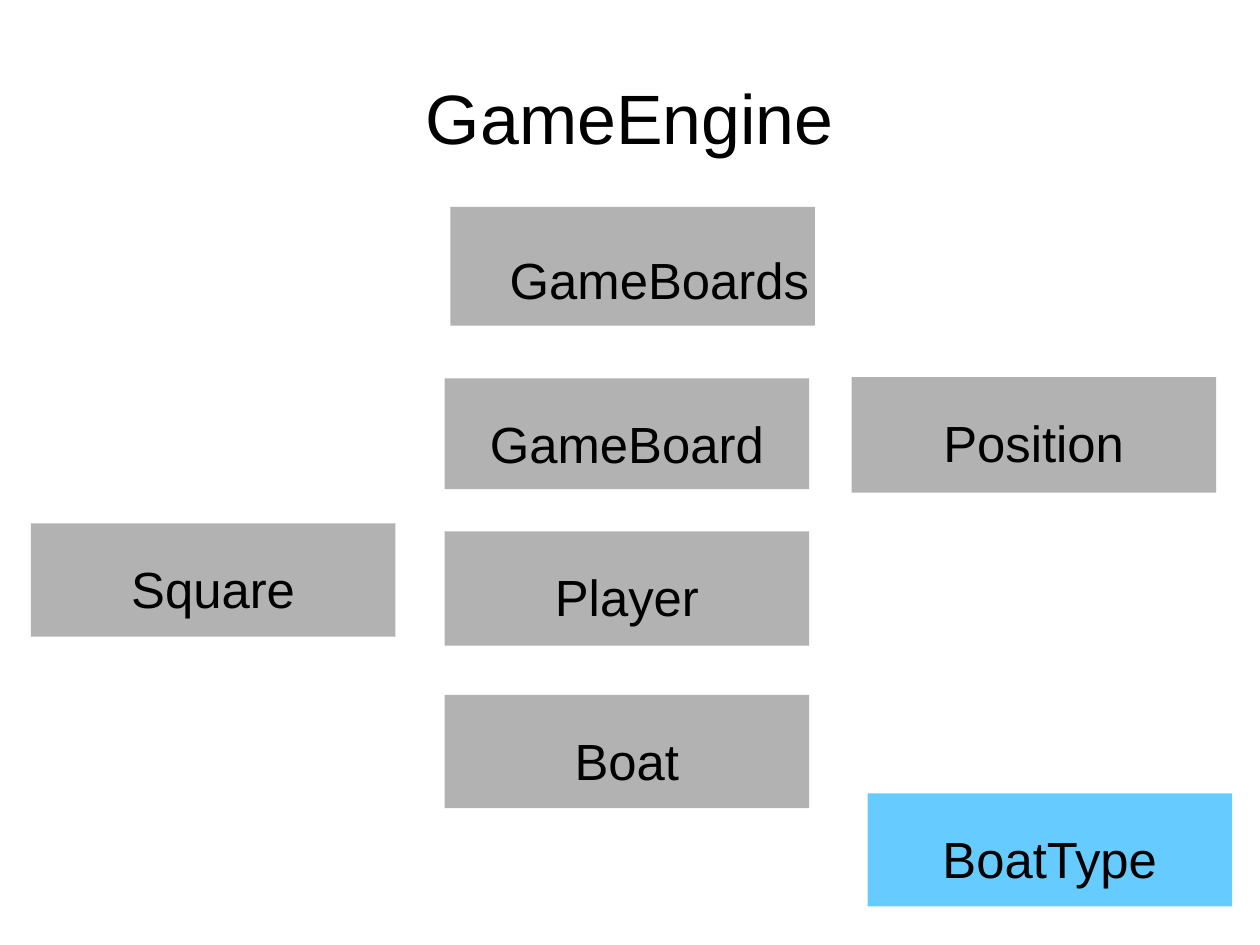
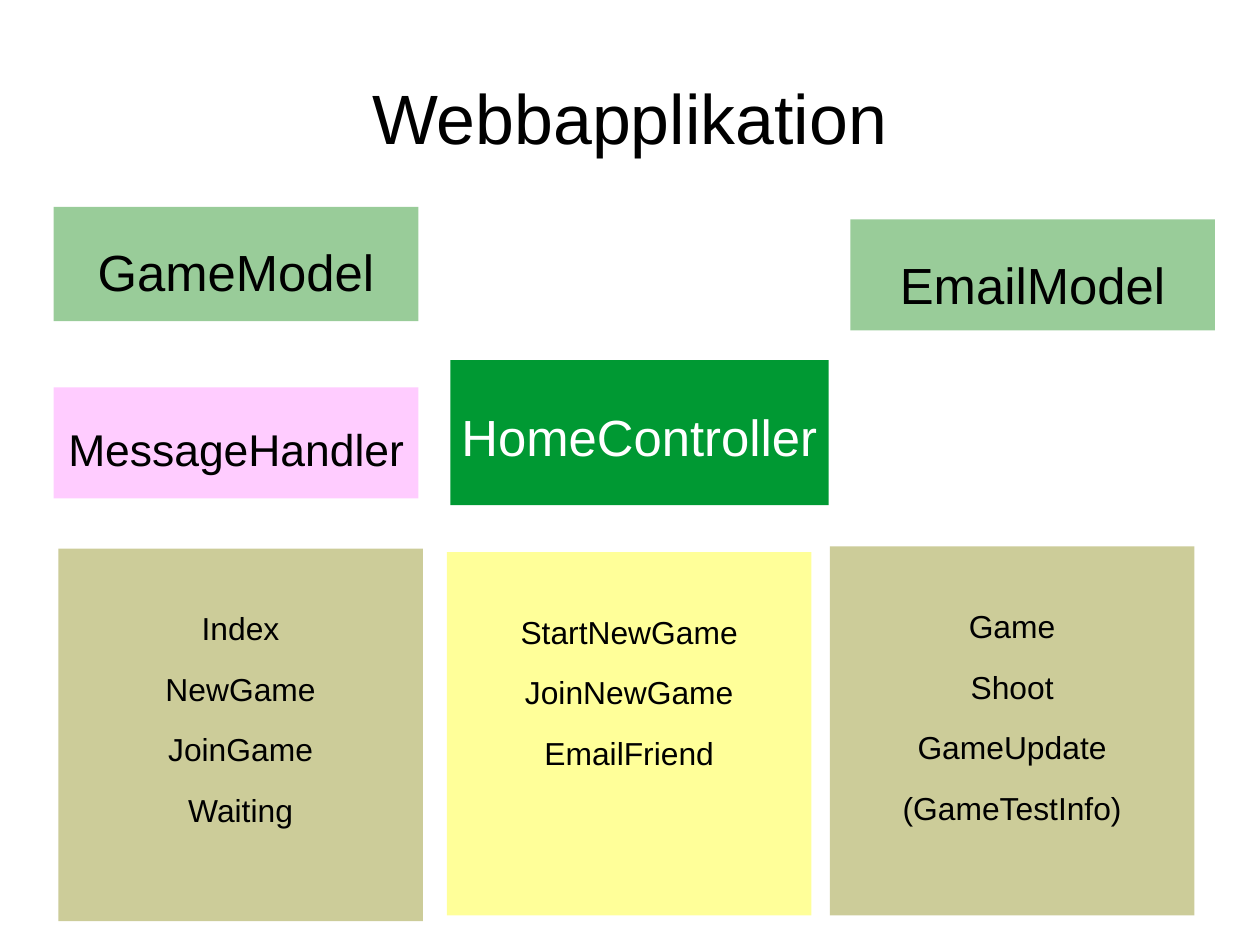
from pptx import Presentation
from pptx import util as u
from pptx.dml.color import RGBColor
from pptx.enum import shapes, text

# Shared look
FONT = "Arial"
BLACK = RGBColor(0x00, 0x00, 0x00)
WHITE = RGBColor(0xFF, 0xFF, 0xFF)
GRAY = RGBColor(0xB2, 0xB2, 0xB2)
SKY = RGBColor(0x66, 0xCC, 0xFF)
MINT = RGBColor(0x99, 0xCC, 0x99)
GREEN = RGBColor(0x00, 0x99, 0x33)
PINK = RGBColor(0xFF, 0xCC, 0xFF)
KHAKI = RGBColor(0xCC, 0xCC, 0x99)
YELLOW = RGBColor(0xFF, 0xFF, 0x99)

BOX_WIDTH = 3.19
PARAGRAPH_GAP = 14.1

deck = Presentation()
deck.slide_width, deck.slide_height = u.Cm(28), u.Cm(21)


def write(frame, lines, size=32, color=BLACK, top=0.0, left=0.0, gap=0.0,
          anchor=text.MSO_ANCHOR.TOP):
    """Fill a text frame with centred lines in one format."""
    frame.word_wrap = True
    frame.auto_size = text.MSO_AUTO_SIZE.NONE
    frame.vertical_anchor = anchor
    frame.margin_left, frame.margin_top = u.Inches(left), u.Inches(top)
    frame.margin_right = frame.margin_bottom = 0
    frame.text = "\n".join(lines)
    for paragraph in frame.paragraphs:
        paragraph.alignment = text.PP_ALIGN.CENTER
        paragraph.space_before, paragraph.space_after = u.Pt(0), u.Pt(gap)
        paragraph.font.name = FONT
        paragraph.font.size = u.Pt(size)
        paragraph.font.color.rgb = color


def add_class_slide(heading, boxes):
    """Add a titled slide; a box is left, top, height, fill, lines, options."""
    slide = deck.slides.add_slide(deck.slide_layouts[5])
    title = slide.shapes.title
    title.left, title.top = int(deck.slide_width * 0.05), int(deck.slide_height * 0.04)
    title.width, title.height = int(deck.slide_width * 0.9), deck.slide_height // 6
    write(title.text_frame, [heading], size=44, anchor=text.MSO_ANCHOR.MIDDLE)

    for left, top, height, fill, lines, options in boxes:
        layout = {"width": BOX_WIDTH, "top": 0.3, **options}
        width = layout.pop("width")
        box = slide.shapes.add_shape(
            shapes.MSO_SHAPE.RECTANGLE, u.Inches(left), u.Inches(top),
            u.Inches(width), u.Inches(height))
        box.shadow.inherit = False
        box.fill.solid()
        box.fill.fore_color.rgb = fill
        box.line.fill.background()
        write(box.text_frame, lines, gap=PARAGRAPH_GAP, **layout)


# Slide 1: classes of the game engine
west, centre, east = 0.27, 3.89, 7.45
add_class_slide("GameEngine", [
    (centre + 0.05, 1.81, 1.04, GRAY, ["GameBoards"], {"top": 0.37, "left": 0.47}),
    (centre, 3.31, 0.97, GRAY, ["GameBoard"], {}),
    (centre, 4.65, 1.0, GRAY, ["Player"], {}),
    (west, 4.58, 0.99, GRAY, ["Square"], {}),
    (east, 3.3, 1.01, GRAY, ["Position"], {}),
    (centre, 6.08, 0.99, GRAY, ["Boat"], {}),
    (east + 0.14, 6.94, 0.99, SKY, ["BoatType"], {}),
])

# Slide 2: models, controller and views of the web application
west, centre, east = 0.47, 3.94, 7.44
view = {"size": 20, "top": 0.53}
add_class_slide("Webbapplikation", [
    (east, 1.92, 0.97, MINT, ["EmailModel"], {}),
    (centre, 3.15, 1.27, GREEN, ["HomeController"],
     {"width": 3.31, "top": 0.4, "color": WHITE}),
    (west, 1.81, 1.0, MINT, ["GameModel"], {}),
    (7.26, 4.78, 3.23, KHAKI,
     ["Game", "Shoot", "GameUpdate", "(GameTestInfo)"], view),
    (3.91, 4.83, 3.18, YELLOW,
     ["StartNewGame", "JoinNewGame", "EmailFriend"], view),
    (0.51, 4.8, 3.26, KHAKI,
     ["Index", "NewGame", "JoinGame", "Waiting"], view),
    (west, 3.39, 0.97, PINK, ["MessageHandler"], {"size": 28}),
])

deck.save("out.pptx")
